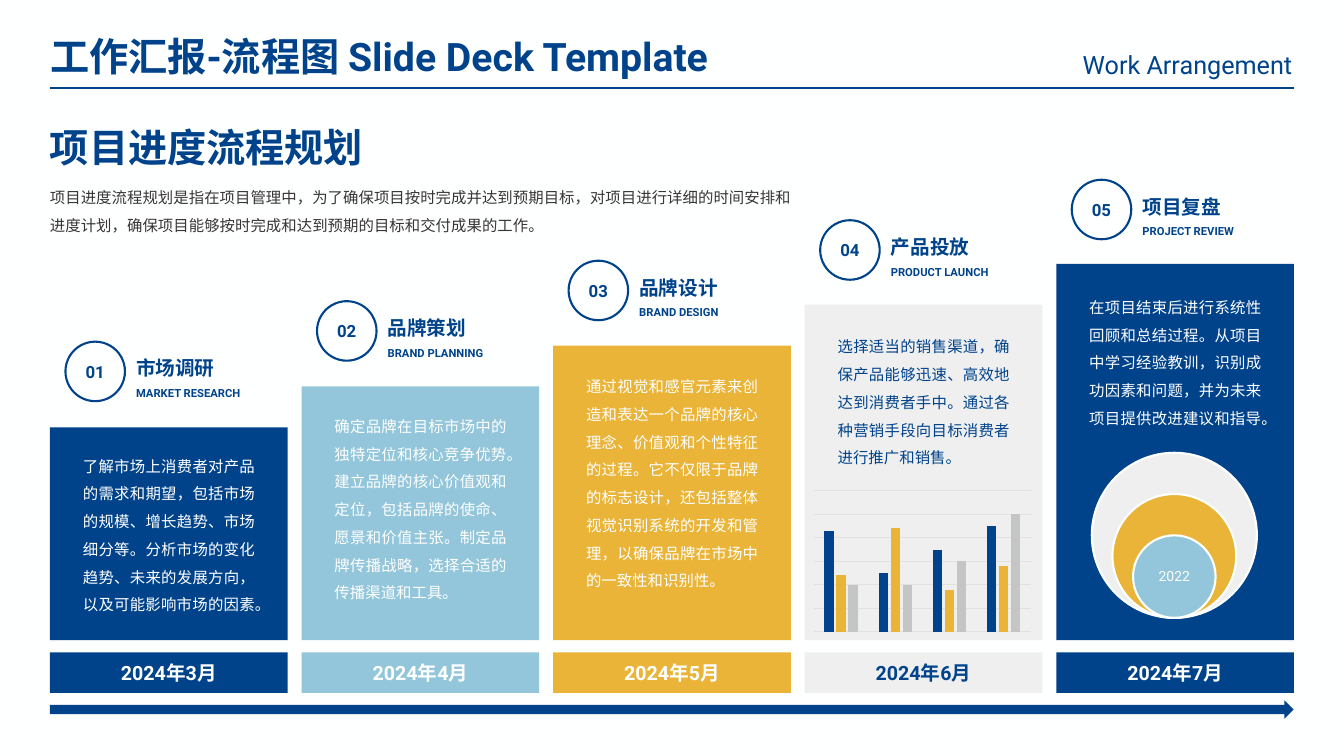
from lxml import etree
from pptx import Presentation
from pptx.chart.data import CategoryChartData
from pptx.dml.color import RGBColor
from pptx.enum.chart import XL_CHART_TYPE
from pptx.enum.shapes import MSO_CONNECTOR, MSO_SHAPE
from pptx.enum.text import MSO_ANCHOR, MSO_AUTO_SIZE, PP_ALIGN
from pptx.oxml.ns import qn
from pptx.util import Cm, Pt

RECTANGLE, OVAL, ARROW = MSO_SHAPE.RECTANGLE, MSO_SHAPE.OVAL, MSO_SHAPE.RIGHT_ARROW
LEFT, CENTER, RIGHT, JUSTIFY = PP_ALIGN.LEFT, PP_ALIGN.CENTER, PP_ALIGN.RIGHT, PP_ALIGN.JUSTIFY
TOP, MIDDLE = MSO_ANCHOR.TOP, MSO_ANCHOR.MIDDLE
NO_FIT = MSO_AUTO_SIZE.NONE
STRAIGHT = MSO_CONNECTOR.STRAIGHT
CLUSTERED = XL_CHART_TYPE.COLUMN_CLUSTERED

LATIN_FONT, CHINESE_FONT = "Roboto", "Noto Sans CJK SC"
NAVY, SKY, GOLD, PALE = "00438B", "93C6DA", "E9B437", "EFEFEF"
WHITE, INK, GRID, SILVER = "FEFFFF", "383535", "E2E0E0", "C4C6C6"

MARGIN, CONTENT_WIDTH = 1.26, 31.34
COLUMN_PITCH, COLUMN_WIDTH = 6.34, 5.99
FIRST_TOP, STEP_RISE, BLOCK_BOTTOM = 10.77, 1.03, 16.13

STAGES = [
    ("市场调研", "MARKET RESEARCH", "2024年3月", NAVY, WHITE, 6,
     "了解市场上消费者对产品的需求和期望，包括市场的规模、增长趋势、市场细分等。"
     "分析市场的变化趋势、未来的发展方向，以及可能影响市场的因素。"),
    ("品牌策划", "BRAND PLANNING", "2024年4月", SKY, WHITE, 7,
     "确定品牌在目标市场中的独特定位和核心竞争优势。建立品牌的核心价值观和定位，"
     "包括品牌的使命、愿景和价值主张。制定品牌传播战略，选择合适的传播渠道和工具。"),
    ("品牌设计", "BRAND DESIGN", "2024年5月", GOLD, WHITE, 8,
     "通过视觉和感官元素来创造和表达一个品牌的核心理念、价值观和个性特征的过程。"
     "它不仅限于品牌的标志设计，还包括整体视觉识别系统的开发和管理，"
     "以确保品牌在市场中的一致性和识别性。"),
    ("产品投放", "PRODUCT LAUNCH", "2024年6月", PALE, NAVY, 5,
     "选择适当的销售渠道，确保产品能够迅速、高效地达到消费者手中。"
     "通过各种营销手段向目标消费者进行推广和销售。"),
    ("项目复盘", "PROJECT REVIEW", "2024年7月", NAVY, WHITE, 5,
     "在项目结束后进行系统性回顾和总结过程。从项目中学习经验教训，"
     "识别成功因素和问题，并为未来项目提供改进建议和指导。"),
]
INTRO = ("项目进度流程规划是指在项目管理中，为了确保项目按时完成并达到预期目标，"
         "对项目进行详细的时间安排和进度计划，确保项目能够按时完成和达到预期的目标和交付成果的工作。")
SERIES = [
    ("Series 1", (86, 50, 70, 90), NAVY),
    ("Series 2", (48, 88, 36, 56), GOLD),
    ("Series 3", (40, 40, 60, 100), SILVER),
]


def color(value):
    """Turn a hex string into a colour."""
    return RGBColor.from_string(value)


def box_lengths(left, top, width, height):
    """Turn a box in centimetres into lengths."""
    return Cm(left), Cm(top), Cm(width), Cm(height)


def write(shape, lines, ink, align=LEFT, bold=False, spacing=1.0, anchor=TOP):
    """Write (text, size) lines into a shape, one paragraph each."""
    frame = shape.text_frame
    frame.word_wrap = True
    frame.auto_size = NO_FIT
    frame.vertical_anchor = anchor
    for index, (text, size) in enumerate(lines):
        paragraph = frame.add_paragraph() if index else frame.paragraphs[0]
        paragraph.alignment = align
        paragraph.line_spacing = spacing
        run = paragraph.add_run()
        run.text = text
        run.font.name = LATIN_FONT
        run.font.size = Pt(size)
        run.font.bold = bold
        run.font.color.rgb = color(ink)
        latin = run.font._element.find(qn("a:latin"))
        east_asian = etree.Element(qn("a:ea"), typeface=CHINESE_FONT)
        latin.addnext(east_asian)


def add_text(slide, box, lines, ink, **style):
    """Add a text box."""
    write(slide.shapes.add_textbox(*box_lengths(*box)), lines, ink, **style)


def add_block(slide, kind, box, fill, outline=None):
    """Add a flat preset shape with an optional outline."""
    shape = slide.shapes.add_shape(kind, *box_lengths(*box))
    shape.shadow.inherit = False
    shape.fill.solid()
    shape.fill.fore_color.rgb = color(fill)
    if outline:
        shape.line.color.rgb = color(outline)
        shape.line.width = Pt(1.5)
    else:
        shape.line.fill.background()
    return shape


def add_header(slide, left, top, width):
    """Place the title, the section name and the rule below them."""
    title = slide.shapes.title
    title.left, title.top, title.width, title.height = box_lengths(left - 0.25, top, 22, 1.45)
    write(title, [("工作汇报-流程图 Slide Deck Template", 28)], NAVY, bold=True)
    add_text(slide, (left + width - 7.78, top + 0.43, 8, 1.02),
             [("Work Arrangement", 18)], NAVY, align=RIGHT)
    rule_top = Cm(top + 1.52)
    rule = slide.shapes.add_connector(STRAIGHT, Cm(left), rule_top, Cm(left + width), rule_top)
    rule.line.color.rgb = color(NAVY)
    rule.line.width = Pt(1.5)
    etree.SubElement(rule._element.spPr, qn("a:effectLst"))


def add_introduction(slide, left, top, width):
    """Place the topic heading and its description."""
    add_text(slide, (left, top, width, 1.45), [("项目进度流程规划", 28)], NAVY, bold=True)
    add_text(slide, (left, top + 1.4, width, 1.6), [(INTRO, 11)], INK, spacing=1.5)


def add_stage(slide, index, left, top, stage):
    """Place one stage: number, names, block, description and date."""
    name, english_name, date, fill, ink, line_count, description = stage
    add_block(slide, RECTANGLE, (left, top, COLUMN_WIDTH, BLOCK_BOTTOM - top), fill)
    badge_top = top - 2.16 + 0.01 * index
    badge = add_block(slide, OVAL, (left + 0.39, badge_top, 1.5, 1.5), WHITE, NAVY)
    write(badge, [(f"{index + 1:02}", 12)], NAVY, align=CENTER, bold=True, anchor=MIDDLE)
    add_text(slide, (left + 1.92, badge_top - 0.05, 3.66, 1.6), [(name, 14), (english_name, 8)],
             NAVY, align=JUSTIFY, bold=True, spacing=1.5)
    add_text(slide, (left + 0.58, top + 0.38 + 0.03 * index, 4.84, 0.71 * line_count + 0.13),
             [(description, 11)], ink, align=JUSTIFY, spacing=1.5)
    date_bar = add_block(slide, RECTANGLE, (left, BLOCK_BOTTOM + 0.31, COLUMN_WIDTH, 1.02), fill)
    write(date_bar, [(date, 14)], ink, align=CENTER, bold=True, anchor=MIDDLE)


def add_launch_chart(slide, left, top, width, height):
    """Place the clustered column chart."""
    data = CategoryChartData()
    data.categories = ["1", "2", "3", "4"]
    for name, values, _ in SERIES:
        data.add_series(name, values)
    box = box_lengths(left, top, width, height)
    chart = slide.shapes.add_chart(CLUSTERED, *box, data).chart
    chart.has_legend = chart.has_title = False
    chart.font.name = CHINESE_FONT
    chart.font.size = Pt(10)
    chart.font.color.rgb = color(INK)
    chart.category_axis.visible = False
    axis = chart.value_axis
    axis.visible = False
    axis.minimum_scale, axis.maximum_scale, axis.major_unit = 0, 120, 20
    axis.has_major_gridlines = True
    axis.major_gridlines.format.line.color.rgb = color(GRID)
    axis.major_gridlines.format.line.width = Pt(0.75)
    plot = chart.plots[0]
    plot.gap_width, plot.overlap, plot.vary_by_categories = 219, -27, False
    for series, (_, _, fill) in zip(plot.series, SERIES):
        series.format.fill.solid()
        series.format.fill.fore_color.rgb = color(fill)


def add_review_rings(slide, center, bottom, unit):
    """Place nested circles that share their lowest point."""
    for scale, fill in ((4, PALE), (3, GOLD), (2, SKY)):
        size = scale * unit
        ring = add_block(slide, OVAL, (center - size / 2, bottom - size, size, size), fill, WHITE)
    write(ring, [("2022", 10)], WHITE, align=CENTER, spacing=0.9, anchor=MIDDLE)


def build_process_slide(presentation):
    """Build the project schedule slide."""
    slide = presentation.slides.add_slide(presentation.slide_layouts[5])
    slide.background.fill.solid()
    slide.background.fill.fore_color.rgb = color(WHITE)
    add_header(slide, MARGIN, 0.69, CONTENT_WIDTH)
    add_introduction(slide, MARGIN - 0.25, 2.99, 19.35)
    lefts = [MARGIN + COLUMN_PITCH * index for index in range(len(STAGES))]
    for index, (left, stage) in enumerate(zip(lefts, STAGES)):
        add_stage(slide, index, left, FIRST_TOP - STEP_RISE * index, stage)
    add_launch_chart(slide, lefts[3] + 0.12, BLOCK_BOTTOM - 3.84, 5.69, 3.71)
    add_review_rings(slide, lefts[4] + COLUMN_WIDTH / 2 - 0.02, BLOCK_BOTTOM - 0.56, 1.04)
    add_block(slide, ARROW, (MARGIN, BLOCK_BOTTOM + 1.52, CONTENT_WIDTH, 0.46), NAVY)


def main():
    """Create and save the presentation."""
    presentation = Presentation()
    presentation.slide_width, presentation.slide_height = Cm(33.87), Cm(19.05)
    build_process_slide(presentation)
    presentation.save("out.pptx")


if __name__ == "__main__":
    main()
